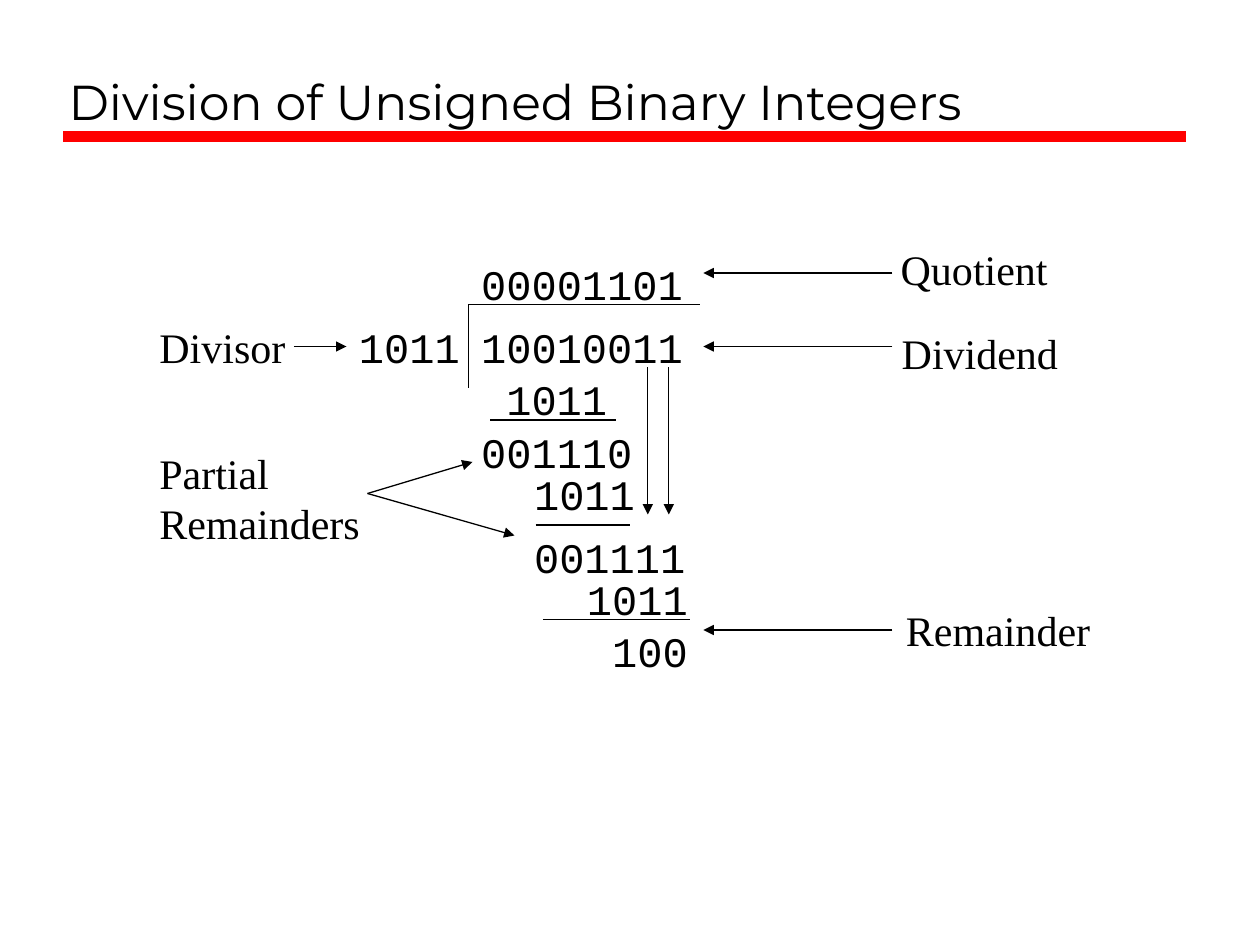
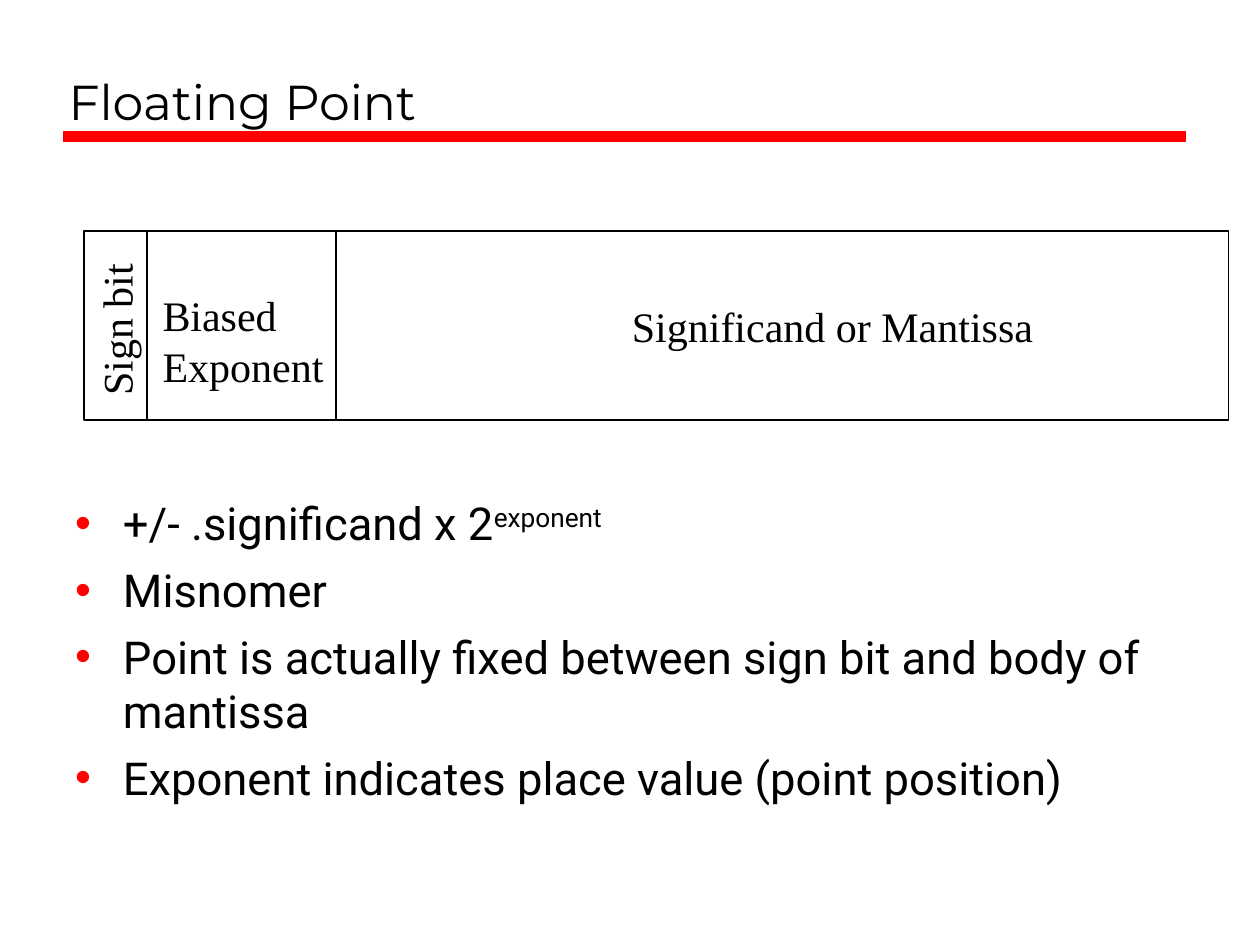
from pptx import Presentation
from pptx.dml.color import RGBColor
from pptx.enum.shapes import MSO_CONNECTOR, MSO_SHAPE
from pptx.enum.text import MSO_ANCHOR, MSO_AUTO_SIZE, PP_ALIGN
from pptx.oxml.ns import qn
from pptx.util import Inches, Pt
from lxml import etree

STRAIGHT, RECTANGLE = MSO_CONNECTOR.STRAIGHT, MSO_SHAPE.RECTANGLE
BOTTOM, TOP = MSO_ANCHOR.BOTTOM, MSO_ANCHOR.TOP
NO_FIT, LEFT = MSO_AUTO_SIZE.NONE, PP_ALIGN.LEFT

BLACK = RGBColor(0x00, 0x00, 0x00)
RED = RGBColor(0xFF, 0x00, 0x00)
TITLE_FONT, BODY_FONT = "Montserrat", "Roboto"
LABEL_FONT, DIGIT_FONT = "Times New Roman", "Courier New"
TITLE_LAYOUT, LIST_LAYOUT = 5, 1

# The grid has 120 columns and 90 rows of square cells
CELL = Inches(10) / 120
DIGIT_COLUMNS = 2.4   # advance of one 24 pt Courier digit
INSET_COLUMNS = 1.2   # default left or right text inset
SPARE_COLUMNS = 0.6   # keeps a number on one line
TEXT_ROWS = 6


def grid(*cells):
    return [round(cell * CELL) for cell in cells]


def write(paragraph, text, font=LABEL_FONT, size=24, superscript=False):
    run = paragraph.add_run()
    run.text = text
    run.font.name, run.font.size = font, Pt(size)
    run.font.color.rgb = BLACK
    if superscript:
        run.font._element.set("baseline", "30000")


def add_line(slide, start, end, color=BLACK, width=0.75, arrow=False):
    line = slide.shapes.add_connector(STRAIGHT, *grid(*start, *end))
    line.line.color.rgb = color
    line.line.width = Pt(width)
    if arrow:
        etree.SubElement(line.line._get_or_add_ln(), qn("a:tailEnd"), type="triangle")
    etree.SubElement(line._element.spPr, qn("a:effectLst"))


def add_label(slide, text, column, row, columns, rows=TEXT_ROWS, font=LABEL_FONT, rotation=0):
    box = slide.shapes.add_textbox(*grid(column, row, columns, rows))
    box.rotation = rotation
    frame = box.text_frame
    frame.word_wrap = True
    for index, line in enumerate(text.split("\n")):
        paragraph = frame.add_paragraph() if index else frame.paragraphs[0]
        paragraph.alignment = LEFT
        write(paragraph, line, font)


def add_digits(slide, digits, column, row):
    columns = len(digits) * DIGIT_COLUMNS + 2 * INSET_COLUMNS + SPARE_COLUMNS
    add_label(slide, digits, column, row, columns, font=DIGIT_FONT)


def add_field(slide, column, row, columns, rows):
    field = slide.shapes.add_shape(RECTANGLE, *grid(column, row, columns, rows))
    field.shadow.inherit = False
    field.fill.background()
    field.line.color.rgb = BLACK
    field.line.width = Pt(0.75)


def place(placeholder, column, row, columns, rows, anchor):
    placeholder.left, placeholder.top, placeholder.width, placeholder.height = grid(
        column, row, columns, rows)
    frame = placeholder.text_frame
    frame.word_wrap, frame.auto_size = True, NO_FIT
    frame.vertical_anchor = anchor
    return frame


def add_titled_slide(presentation, layout, title):
    slide = presentation.slides.add_slide(presentation.slide_layouts[layout])
    add_line(slide, (6, 13), (113, 13), RED, 6)
    frame = place(slide.shapes.title, 5.33, 2, 107.7, 11, BOTTOM)
    frame.paragraphs[0].alignment = LEFT
    write(frame.paragraphs[0], title, TITLE_FONT, 28)
    return slide


def format_bullet(paragraph):
    paragraph.space_before = Pt(7)
    properties = paragraph._p.get_or_add_pPr()
    indent = Inches(0.38)
    properties.set("marL", str(indent))
    properties.set("indent", str(-indent))
    color = etree.SubElement(properties, qn("a:buClr"))
    etree.SubElement(color, qn("a:srgbClr"), val=str(RED))
    etree.SubElement(properties, qn("a:buChar"), char="•")


def fill_list(slide, items):
    """Each item is a text and its superscript, which may be empty."""
    frame = place(slide.placeholders[1], 5.95, 46.6, 107.3, 34.5, TOP)
    for index, (text, exponent) in enumerate(items):
        paragraph = frame.add_paragraph() if index else frame.paragraphs[0]
        format_bullet(paragraph)
        write(paragraph, text, BODY_FONT, 25.9)
        if exponent:
            write(paragraph, exponent, BODY_FONT, 25.9, superscript=True)


def build_division(presentation):
    slide = add_titled_slide(presentation, TITLE_LAYOUT, "Division of Unsigned Binary Integers")

    # Long division, from the quotient down to the remainder
    for digits, column, row in [
        ("00001101", 44.64, 24), ("1011", 33, 30), ("10010011", 44.64, 30),
        ("1011", 47.04, 35), ("001110", 44.64, 40), ("1011", 49.68, 44),
        ("001111", 49.68, 50), ("1011", 54.72, 54), ("100", 57.12, 59),
    ]:
        add_digits(slide, digits, column, row)

    # Division bracket and subtraction rules
    add_line(slide, (44.64, 29), (44.64, 37))
    for left, right, row in [(44.64, 66.7, 29), (46.7, 58.7, 40), (51, 60, 50), (51.7, 65.7, 59)]:
        add_line(slide, (left, row), (right, row))

    # Digits brought down
    for column in (61.7, 63.7):
        add_line(slide, (column, 35), (column, 49), arrow=True)

    # Names on the right with arrows to the numbers
    for text, column, row, columns, arrow_row in [
        ("Quotient", 84.6, 22.6, 18, 26),
        ("Dividend", 84.7, 30.6, 19, 33),
        ("Remainder", 85.1, 57, 22, 60),
    ]:
        add_label(slide, text, column, row, columns)
        add_line(slide, (85, arrow_row), (67, arrow_row), arrow=True)

    # Names on the left
    add_label(slide, "Divisor", 14, 30, 16)
    add_line(slide, (28, 33), (33, 33), arrow=True)
    add_label(slide, "Partial\nRemainders", 14, 42, 23, 10.8)
    for tip in [(45, 44), (49, 51)]:
        add_line(slide, (35, 47), tip, arrow=True)


def build_floating_point(presentation):
    slide = add_titled_slide(presentation, LIST_LAYOUT, "Floating Point")
    fill_list(slide, [
        ("+/- .significand x 2", "exponent"),
        ("Misnomer", ""),
        ("Point is actually fixed between sign bit and body of mantissa", ""),
        ("Exponent indicates place value (point position)", ""),
    ])

    # Fields of the number, side by side
    column = 8
    for columns in (6, 18, 85):
        add_field(slide, column, 22, columns, 18)
        column += columns
    add_label(slide, "Sign bit", 3.05, 27.85, 16, rotation=270)
    add_label(slide, "Biased\nExponent", 14.3, 27, 19, 10.8)
    add_label(slide, "Significand or Mantissa", 59, 28, 42)


def main():
    presentation = Presentation()
    presentation.slide_width, presentation.slide_height = grid(120, 90)
    build_division(presentation)
    build_floating_point(presentation)
    presentation.save("out.pptx")


if __name__ == "__main__":
    main()
